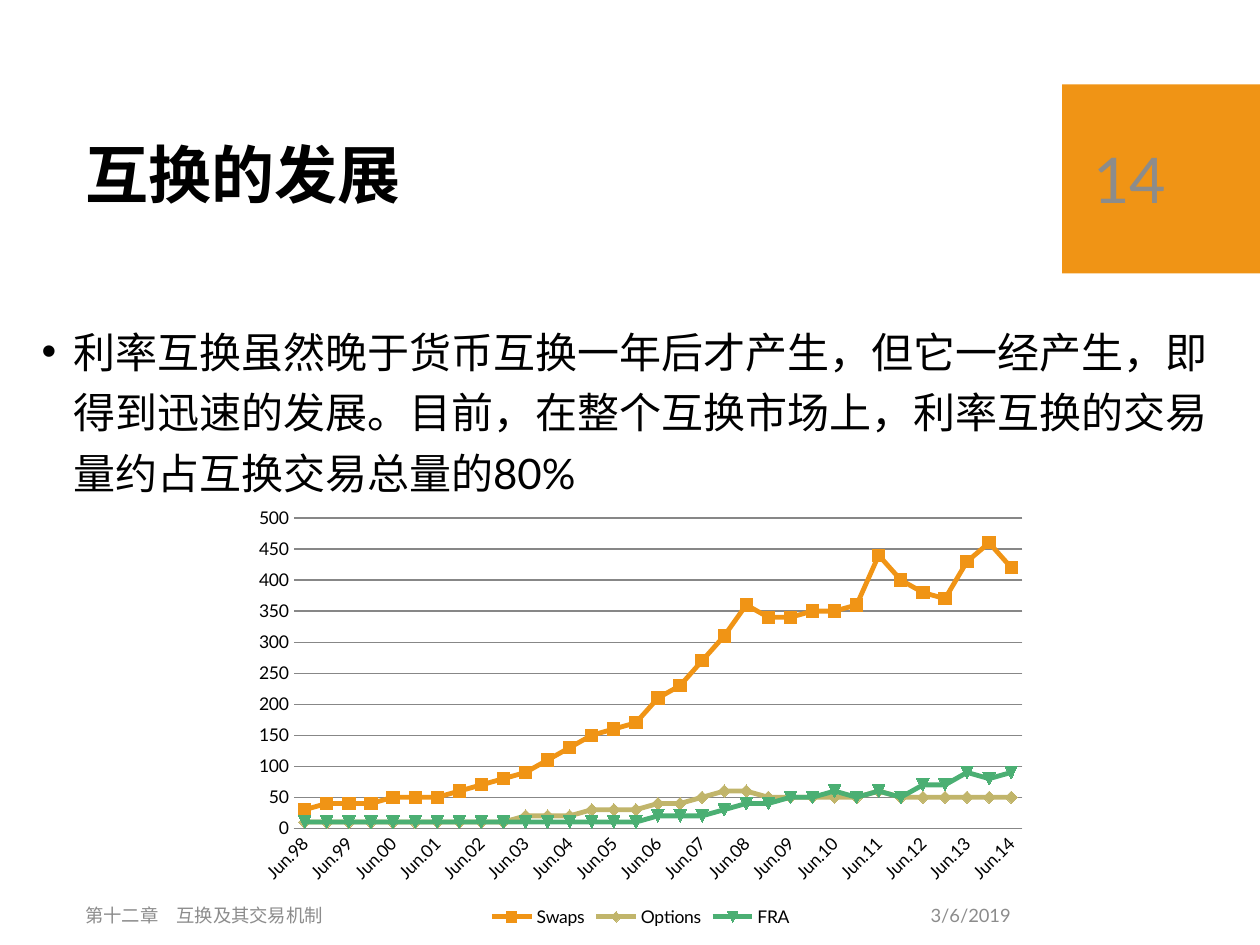
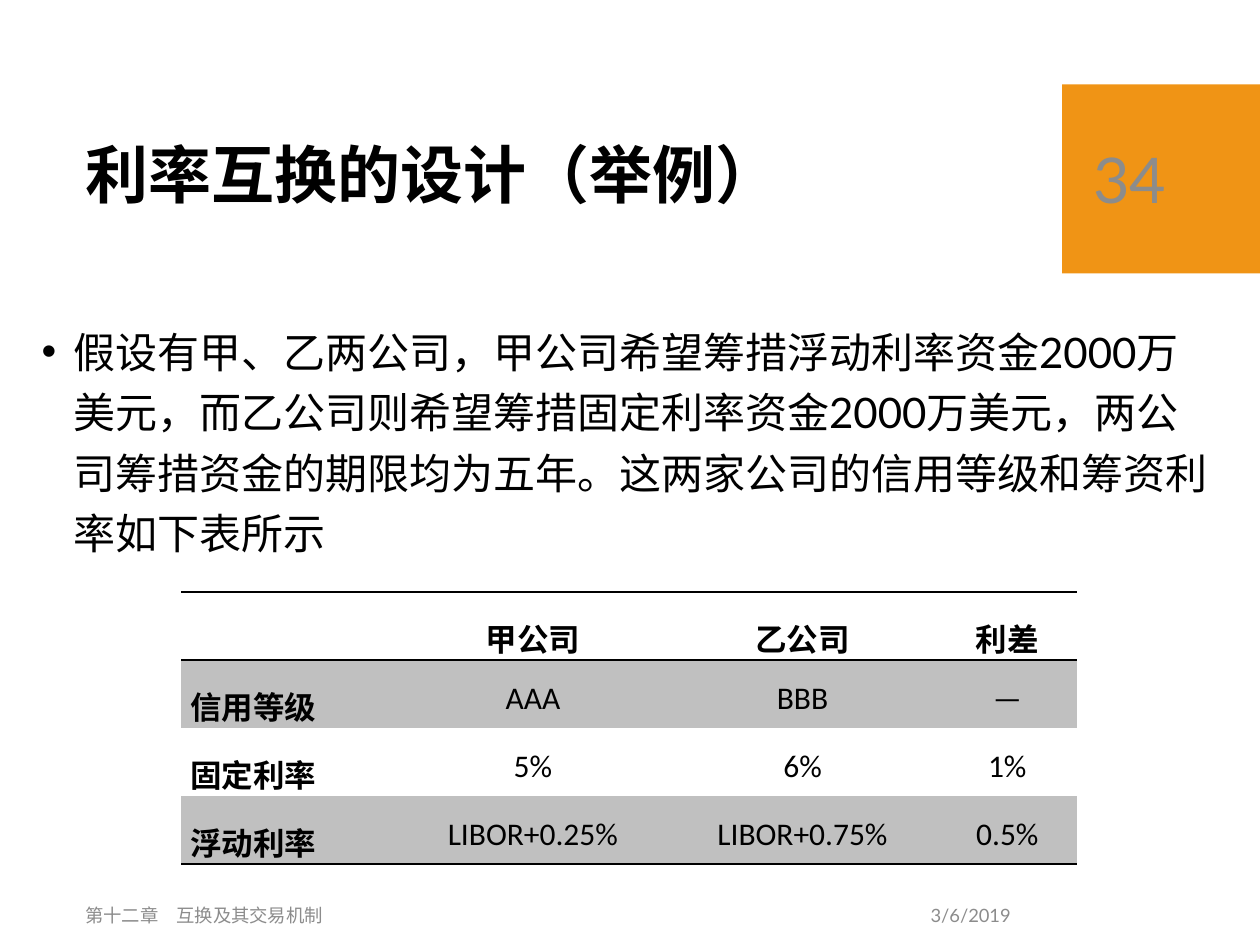
from dataclasses import dataclass
from typing import Any, NamedTuple

from lxml.etree import SubElement
from pptx import Presentation
from pptx.chart.data import CategoryChartData
from pptx.dml.color import RGBColor
from pptx.enum.chart import XL_CHART_TYPE, XL_LEGEND_POSITION, XL_TICK_MARK
from pptx.enum.shapes import MSO_SHAPE
from pptx.enum.text import MSO_ANCHOR, MSO_AUTO_SIZE, PP_ALIGN
from pptx.oxml.ns import qn
from pptx.util import Inches, Pt


# Shared look
@dataclass(frozen=True)
class Theme:
    accent: str = "F09415"
    sand: str = "C1B56B"
    green: str = "4BAF73"
    ink: str = "000000"
    muted: str = "8C8C8C"
    grid: str = "878787"
    paper: str = "FFFFFF"
    stripe: str = "C0C0C0"
    font: str = "Lato"
    table_font: str = "Calibri"
    title_size: float = 36
    body_size: float = 24
    table_size: float = 18
    footer_size: float = 10.5
    chart_size: float = 10


THEME = Theme()


class Area(NamedTuple):
    left: float
    top: float
    width: float
    height: float


class Label(NamedTuple):
    text: str
    area: Area
    size: float
    align: PP_ALIGN = PP_ALIGN.LEFT


class Line(NamedTuple):
    name: str
    color: str
    values: list[int]


class PageText(NamedTuple):
    number: str
    title: str
    body: str


BAND = Area(8.43, 0.67, 1.57, 1.5)
TITLE = Area(0.58, 0.82, 7.54, 1.18)
BODY = Area(0.23, 2.46, 9.49, 4.5)
NUMBER = Area(8.58, 0.82, 1.27, 1.19)
CHART = Area(1.93, 3.96, 6.31, 3.44)
TABLE = Area(1.44, 4.7, 7.11, 2.16)

FOOTERS = [
    Label("3/6/2019", Area(5.87, 7.06, 2.25, 0.4), THEME.footer_size, PP_ALIGN.RIGHT),
    Label("第十二章\u3000互换及其交易机制".replace("\u3000", "　"),
          Area(0.58, 7.06, 5.29, 0.4), THEME.footer_size),
]

# Slide content
GROWTH = PageText(
    "14", "互换的发展",
    "利率互换虽然晚于货币互换一年后才产生，但它一经产生，即得到迅速的发展。"
    "目前，在整个互换市场上，利率互换的交易量约占互换交易总量的80%")
DESIGN = PageText(
    "34", "利率互换的设计（举例）",
    "假设有甲、乙两公司，甲公司希望筹措浮动利率资金2000万美元，"
    "而乙公司则希望筹措固定利率资金2000万美元，两公司筹措资金的期限均为五年。"
    "这两家公司的信用等级和筹资利率如下表所示")

HALF_YEARS = [f"{month}.{year % 100:02d}" for year in range(1998, 2015)
              for month in ("Jun", "Dec")][:-1]
LINES = [
    Line("Swaps", THEME.accent,
         [30, 40, 40, 40, 50, 50, 50, 60, 70, 80, 90, 110, 130, 150, 160, 170, 210,
          230, 270, 310, 360, 340, 340, 350, 350, 360, 440, 400, 380, 370, 430, 460, 420]),
    Line("Options", THEME.sand,
         [10] * 10 + [20] * 3 + [30] * 3 + [40, 40, 50, 60, 60]
         + [50] * 5 + [60] + [50] * 6),
    Line("FRA", THEME.green,
         [10] * 16 + [20, 20, 20, 30, 40, 40, 50, 50, 60, 50, 60, 50, 70, 70, 90, 80, 90]),
]

RATE_COLUMNS = [1.72, 2.14, 2.14, 1.11]
RATE_ROWS = [
    ["", "甲公司", "乙公司", "利差"],
    ["信用等级", "AAA", "BBB", "—"],
    ["固定利率", "5%", "6%", "1%"],
    ["浮动利率", "LIBOR+0.25%", "LIBOR+0.75%", "0.5%"],
]


# Helpers
def assign(target: Any, values: dict[str, Any]) -> None:
    for name, value in values.items():
        setattr(target, name, value)


def box_of(area: Area) -> list[int]:
    return [Inches(length) for length in area]


def move(shape: Any, area: Area) -> None:
    assign(shape, dict(zip(("left", "top", "width", "height"), box_of(area))))


def style_font(font: Any, size: float, color: str, name: str = THEME.font,
               bold: bool = False) -> None:
    assign(font, {"size": Pt(size), "name": name, "bold": bold})
    font.color.rgb = RGBColor.from_string(color)


def fill_solid(fill: Any, color: str) -> None:
    fill.solid()
    fill.fore_color.rgb = RGBColor.from_string(color)


def write(frame: Any, text: str, size: float, color: str, para_format: dict[str, Any],
          name: str = THEME.font, bold: bool = False) -> Any:
    para = frame.paragraphs[0]
    assign(para, para_format)
    span = para.add_run()
    span.text = text
    style_font(span.font, size, color, name, bold)
    return para


def add_label(page: Any, label: Label) -> None:
    box = page.shapes.add_textbox(*box_of(label.area))
    assign(box.text_frame, {"word_wrap": True, "vertical_anchor": MSO_ANCHOR.MIDDLE})
    write(box.text_frame, label.text, label.size, THEME.muted, {"alignment": label.align})


# Frame common to both slides
def add_page(deck: Any, content: PageText) -> Any:
    page = deck.slides.add_slide(deck.slide_layouts[1])
    fill_solid(page.background.fill, THEME.paper)
    title, body = page.shapes.title, page.placeholders[1]

    move(title, TITLE)
    assign(title.text_frame, {"word_wrap": True, "auto_size": MSO_AUTO_SIZE.NONE,
                              "vertical_anchor": MSO_ANCHOR.MIDDLE})
    write(title.text_frame, content.title, THEME.title_size, THEME.ink,
          {"alignment": PP_ALIGN.LEFT, "line_spacing": 0.9}, bold=True)

    move(body, BODY)
    assign(body.text_frame, {"word_wrap": True, "auto_size": MSO_AUTO_SIZE.NONE,
                             "vertical_anchor": MSO_ANCHOR.TOP})
    para = write(body.text_frame, content.body, THEME.body_size, THEME.ink,
                 {"line_spacing": 1.2, "space_before": Pt(10)})
    properties = para._p.get_or_add_pPr()
    properties.set("marL", str(Inches(0.25)))
    properties.set("indent", str(Inches(-0.25)))

    band = page.shapes.add_shape(MSO_SHAPE.RECTANGLE, *box_of(BAND))
    band.shadow.inherit = False
    fill_solid(band.fill, THEME.accent)
    band.line.fill.background()

    for label in [*FOOTERS, Label(content.number, NUMBER, THEME.title_size)]:
        add_label(page, label)
    return page


# Line chart of the three instruments
def add_growth_chart(page: Any) -> None:
    data = CategoryChartData()
    data.categories = HALF_YEARS
    for line in LINES:
        data.add_series(line.name, line.values)
    chart = page.shapes.add_chart(XL_CHART_TYPE.LINE_MARKERS, *box_of(CHART), data).chart
    assign(chart, {"has_title": False, "has_legend": True})
    assign(chart.legend, {"position": XL_LEGEND_POSITION.BOTTOM, "include_in_layout": False})
    style_font(chart.font, THEME.chart_size, THEME.ink)
    chart.plots[0].vary_by_categories = False

    for series, line in zip(chart.plots[0].series, LINES):
        color = RGBColor.from_string(line.color)
        series.smooth = False
        series.format.line.width = Pt(2.75)
        series.format.line.color.rgb = color
        series.marker.size = 7
        fill_solid(series.marker.format.fill, line.color)
        series.marker.format.line.color.rgb = color

    months, amounts = chart.category_axis, chart.value_axis
    for axis in (months, amounts):
        assign(axis, {"major_tick_mark": XL_TICK_MARK.NONE,
                      "minor_tick_mark": XL_TICK_MARK.NONE})
        style_font(axis.tick_labels.font, THEME.chart_size, THEME.ink)
    assign(amounts, {"minimum_scale": 0, "maximum_scale": 500, "major_unit": 50,
                     "has_major_gridlines": True})
    amounts.format.line.fill.background()
    for line_format in (months.format.line, amounts.major_gridlines.format.line):
        line_format.width = Pt(0.75)
        line_format.color.rgb = RGBColor.from_string(THEME.grid)

    # Slanted labels, one for every second half-year
    months._element.find(qn("c:txPr")).find(qn("a:bodyPr")).set("rot", str(-45 * 60000))
    skip = SubElement(months._element, qn("c:tickLblSkip"))
    skip.set("val", "2")
    months._element.find(qn("c:lblOffset")).addnext(skip)


# Table of credit ratings and rates
def set_borders(cell: Any, ruled: set[str]) -> None:
    properties = cell._tc.get_or_add_tcPr()
    for position, side in enumerate("LRTB"):
        edge = SubElement(properties, qn(f"a:ln{side}"), w=str(Pt(1)))
        if side in ruled:
            color = SubElement(SubElement(edge, qn("a:solidFill")), qn("a:srgbClr"))
            color.set("val", THEME.ink)
        else:
            SubElement(edge, qn("a:noFill"))
        properties.insert(position, edge)


def add_rate_table(page: Any) -> None:
    table = page.shapes.add_table(len(RATE_ROWS), len(RATE_COLUMNS), *box_of(TABLE)).table
    assign(table, {"first_row": False, "horz_banding": False})
    for column, width in zip(table.columns, RATE_COLUMNS):
        column.width = Inches(width)

    last = len(RATE_ROWS) - 1
    for row, texts in enumerate(RATE_ROWS):
        table.rows[row].height = Inches(TABLE.height / len(RATE_ROWS))
        ruled = ({"T"} if row < 2 else set()) | ({"B"} if row in (0, last) else set())
        for column, text in enumerate(texts):
            cell = table.cell(row, column)
            assign(cell, {"margin_left": Inches(0.07), "margin_right": Inches(0.07),
                          "margin_top": 0, "margin_bottom": 0})
            fill_solid(cell.fill, THEME.stripe if row % 2 else THEME.paper)
            set_borders(cell, ruled)
            if text:
                align = PP_ALIGN.CENTER if column else PP_ALIGN.JUSTIFY
                write(cell.text_frame, text, THEME.table_size, THEME.ink,
                      {"alignment": align, "line_spacing": 1.5},
                      THEME.table_font, bold=row == 0 or column == 0)


def main() -> None:
    deck = Presentation()
    assign(deck, {"slide_width": Inches(10), "slide_height": Inches(7.5)})
    add_growth_chart(add_page(deck, GROWTH))
    add_rate_table(add_page(deck, DESIGN))
    deck.save("out.pptx")


if __name__ == "__main__":
    main()
